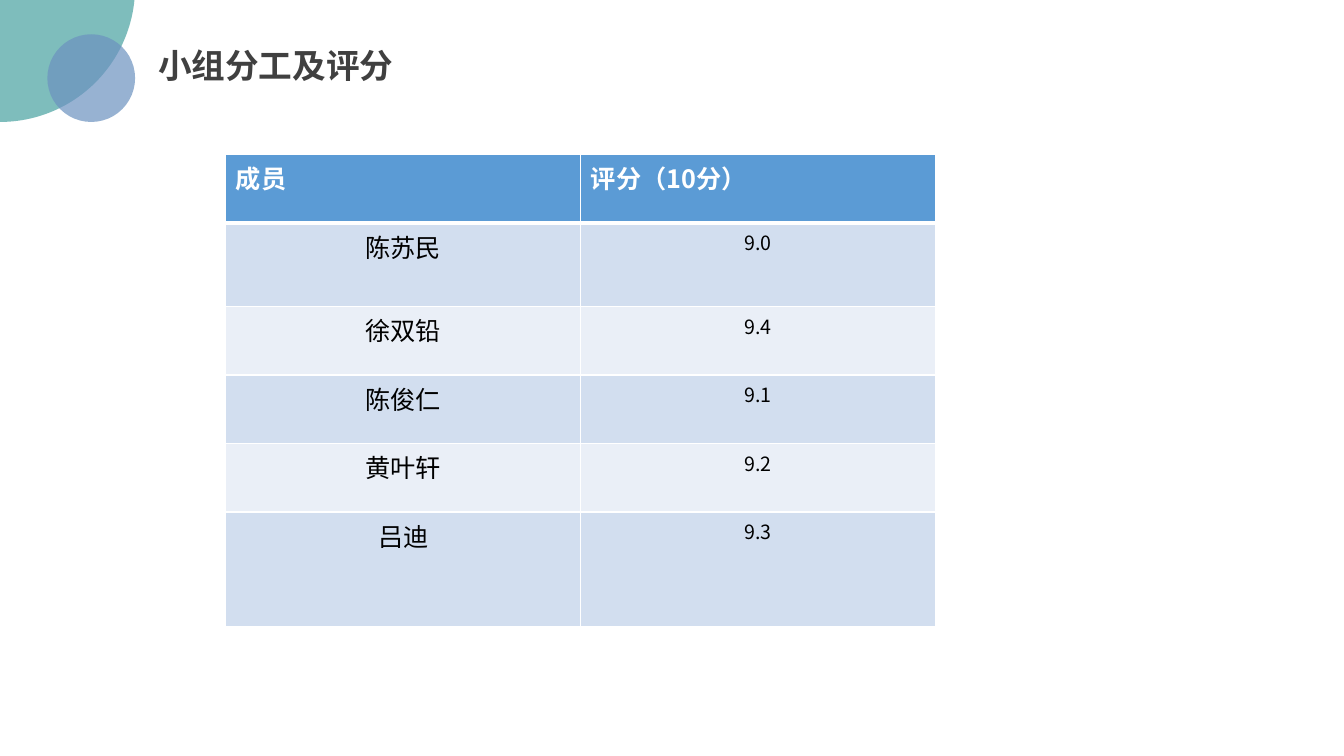
"""Build the slide that lists the group members and their scores."""
import pptx
import pptx.dml.color
import pptx.enum.shapes
import pptx.enum.text
import pptx.oxml.ns
import pptx.util
from lxml import etree

Inches = pptx.util.Inches
RGBColor = pptx.dml.color.RGBColor
Align = pptx.enum.text.PP_ALIGN

TEAL = RGBColor(0x48, 0xA2, 0xA0)
STEEL = RGBColor(0x6C, 0x92, 0xC0)
CHARCOAL = RGBColor(0x40, 0x40, 0x40)
WHITE = RGBColor(0xFF, 0xFF, 0xFF)
BLACK = RGBColor(0, 0, 0)
HEADER_BLUE = RGBColor(0x5B, 0x9B, 0xD5)
BAND_DARK = RGBColor(0xD2, 0xDE, 0xEF)
BAND_LIGHT = RGBColor(0xEA, 0xEF, 0xF7)

SCORES = [
    ("成员", "评分（10分）"),
    ("陈苏民", "9.0"),
    ("徐双铅", "9.4"),
    ("陈俊仁", "9.1"),
    ("黄叶轩", "9.2"),
    ("吕迪", "9.3"),
]
ROW_HEIGHTS = [0.68, 0.83, 0.68, 0.68, 0.68, 1.14]
FONT = "Noto Sans CJK SC"


def write(frame, text, size=18, color=BLACK, bold=False, align=Align.LEFT):
    paragraph = frame.paragraphs[0]
    paragraph.alignment = align
    run = paragraph.add_run()
    run.text = text
    font = run.font
    font.size = pptx.util.Pt(size)
    font.bold = bold
    font.color.rgb = color
    font.name = FONT
    east_asian = etree.SubElement(font._element, pptx.oxml.ns.qn("a:ea"))
    east_asian.set("typeface", FONT)


class SlideBuilder:
    def __init__(self, slide):
        self.slide = slide

    def circle(self, left, top, diameter, color, opacity=70):
        circle = self.slide.shapes.add_shape(
            pptx.enum.shapes.MSO_SHAPE.OVAL,
            Inches(left), Inches(top), Inches(diameter), Inches(diameter))
        circle.shadow.inherit = False
        circle.fill.solid()
        circle.fill.fore_color.rgb = color
        circle.line.fill.background()
        tint = circle.fill._xPr.find(".//" + pptx.oxml.ns.qn("a:srgbClr"))
        alpha = etree.SubElement(tint, pptx.oxml.ns.qn("a:alpha"))
        alpha.set("val", str(opacity * 1000))

    def heading(self, left, top, width, height, text):
        heading = self.slide.shapes.add_textbox(
            Inches(left), Inches(top), Inches(width), Inches(height))
        frame = heading.text_frame
        frame.word_wrap = False
        frame.auto_size = pptx.enum.text.MSO_AUTO_SIZE.SHAPE_TO_FIT_TEXT
        write(frame, text, size=24, color=CHARCOAL, bold=True)

    def borders(self, cell, **widths):
        properties = cell._tc.get_or_add_tcPr()
        for side in ("L", "R", "T", "B"):
            line = etree.SubElement(properties, pptx.oxml.ns.qn("a:ln" + side))
            line.set("w", str(pptx.util.Pt(widths.get(side, 1))))
            fill = etree.SubElement(line, pptx.oxml.ns.qn("a:solidFill"))
            color = etree.SubElement(fill, pptx.oxml.ns.qn("a:srgbClr"))
            color.set("val", str(WHITE))

    def score_table(self, left, top, width, rows, heights):
        table = self.slide.shapes.add_table(
            len(rows), len(rows[0]), Inches(left), Inches(top),
            Inches(width), Inches(sum(heights))).table
        for row, (values, height) in enumerate(zip(rows, heights)):
            table.rows[row].height = Inches(height)
            for column, value in enumerate(values):
                cell = table.cell(row, column)
                if row == 0:
                    background = HEADER_BLUE
                    self.borders(cell, B=3)
                    write(cell.text_frame, value, color=WHITE, bold=True)
                else:
                    background = BAND_DARK if row % 2 else BAND_LIGHT
                    self.borders(cell, T=3 if row == 1 else 1)
                    write(cell.text_frame, value, size=14 if column else 18,
                          align=Align.CENTER)
                cell.fill.solid()
                cell.fill.fore_color.rgb = background


def main():
    deck = pptx.Presentation()
    deck.slide_width = Inches(13.33)
    deck.slide_height = Inches(7.5)
    builder = SlideBuilder(deck.slides.add_slide(deck.slide_layouts[6]))
    builder.circle(-1.34, -1.47, 2.68, TEAL)
    builder.circle(0.47, 0.34, 0.87, STEEL)
    builder.heading(1.47, 0.4, 2.56, 0.5, "小组分工及评分")
    builder.score_table(2.24, 1.53, 7.04, SCORES, ROW_HEIGHTS)
    deck.save("out.pptx")


if __name__ == "__main__":
    main()
